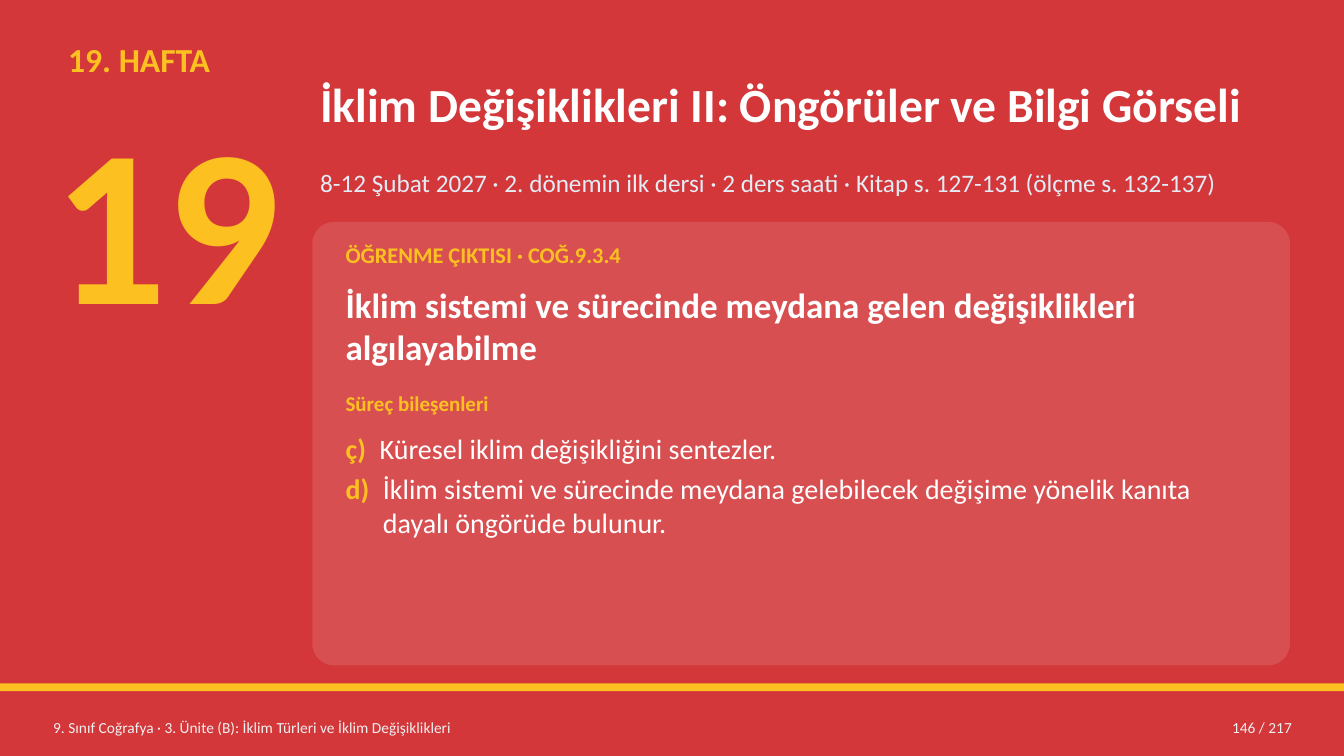
import dataclasses

import pptx
import pptx.dml.color
import pptx.enum.shapes
import pptx.enum.text
import pptx.oxml.ns
import pptx.shapes.autoshape
import pptx.slide
import pptx.text.text
import pptx.util
from lxml import etree

Cm = pptx.util.Cm
ALIGN = pptx.enum.text.PP_ALIGN
ANCHOR = pptx.enum.text.MSO_ANCHOR
SHAPE = pptx.enum.shapes.MSO_SHAPE

FONT = "Calibri"
RED = "D3373A"
YELLOW = "FCC021"
WHITE = "FFFFFF"
PALE_BLUE = "E3ECF5"
PALE_GREY = "F0F0F0"

WIDTH, HEIGHT = 33.87, 19.05
MAIN_LEFT, MAIN_WIDTH = 7.87, 24.64
CARD_LEFT, CARD_WIDTH = 8.51, 23.37
FOOTER_TOP, FOOTER_HEIGHT = 17.88, 0.91


@dataclasses.dataclass(frozen=True)
class Area:
    left: float
    top: float
    width: float
    height: float

    def lengths(self) -> tuple[pptx.util.Length, ...]:
        return Cm(self.left), Cm(self.top), Cm(self.width), Cm(self.height)


@dataclasses.dataclass(frozen=True)
class Panel:
    area: Area
    fill: str
    kind: SHAPE = SHAPE.RECTANGLE
    corner: float | None = None
    opacity: int | None = None


@dataclasses.dataclass(frozen=True)
class Label:
    area: Area
    text: str
    size: int
    color: str
    bold: bool = False
    anchor: ANCHOR = ANCHOR.TOP
    align: ALIGN = ALIGN.LEFT
    inset: float = 0.1


@dataclasses.dataclass(frozen=True)
class Component:
    letter: str
    text: str
    indent: float
    space_after: int = 0


PANELS = [
    Panel(Area(0, 0, WIDTH, HEIGHT), RED),
    Panel(Area(0, 17.22, WIDTH, 0.2), YELLOW),
    Panel(Area(MAIN_LEFT, 5.59, MAIN_WIDTH, 11.18), WHITE,
          SHAPE.ROUNDED_RECTANGLE, corner=0.05, opacity=12),
]

LABELS = [
    Label(Area(1.52, 0.89, 6.6, 1.4), "19. HAFTA", 24, YELLOW, bold=True),
    Label(Area(1.14, 2.03, 6.6, 6.99), "19", 160, YELLOW, bold=True, inset=0),
    Label(Area(MAIN_LEFT, 1.14, MAIN_WIDTH, 2.92),
          "İklim Değişiklikleri II: Öngörüler ve Bilgi Görseli",
          34, WHITE, bold=True, anchor=ANCHOR.MIDDLE),
    Label(Area(MAIN_LEFT, 4.11, MAIN_WIDTH, 1.14),
          "8-12 Şubat 2027 · 2. dönemin ilk dersi · 2 ders saati · "
          "Kitap s. 127-131 (ölçme s. 132-137)", 18, PALE_BLUE),
    Label(Area(CARD_LEFT, 5.97, CARD_WIDTH, 1.02),
          "ÖĞRENME ÇIKTISI · COĞ.9.3.4", 16, YELLOW, bold=True),
    Label(Area(CARD_LEFT, 7.04, CARD_WIDTH, 2.41),
          "İklim sistemi ve sürecinde meydana gelen değişiklikleri algılayabilme",
          25, WHITE, bold=True),
    Label(Area(CARD_LEFT, 9.75, CARD_WIDTH, 0.97),
          "Süreç bileşenleri", 15, YELLOW, bold=True),
    Label(Area(1.14, FOOTER_TOP, 19.3, FOOTER_HEIGHT),
          "9. Sınıf Coğrafya · 3. Ünite (B): İklim Türleri ve İklim Değişiklikleri",
          11, PALE_GREY, anchor=ANCHOR.MIDDLE),
    Label(Area(28.7, FOOTER_TOP, 4.06, FOOTER_HEIGHT), "146 / 217",
          11, PALE_GREY, anchor=ANCHOR.MIDDLE, align=ALIGN.RIGHT),
]

COMPONENTS_AREA = Area(CARD_LEFT, 10.77, CARD_WIDTH, 5.66)
COMPONENTS = [
    Component("ç)", "Küresel iklim değişikliğini sentezler.", 0.86, space_after=5),
    Component("d)", "İklim sistemi ve sürecinde meydana gelebilecek değişime "
              "yönelik kanıta dayalı öngörüde bulunur.", 0.94),
]


def rgb(color: str) -> pptx.dml.color.RGBColor:
    return pptx.dml.color.RGBColor.from_string(color)


def add_span(para: pptx.text.text._Paragraph, text: str, *, size: int,
             color: str, bold: bool = False) -> None:
    span = para.add_run()
    span.text = text
    span.font.name = FONT
    span.font.size = pptx.util.Pt(size)
    span.font.bold = bold
    span.font.color.rgb = rgb(color)


def add_box(page: pptx.slide.Slide, area: Area, *, inset: float = 0.1,
            anchor: ANCHOR = ANCHOR.TOP) -> pptx.text.text.TextFrame:
    frame = page.shapes.add_textbox(*area.lengths()).text_frame
    frame.word_wrap = True
    frame.vertical_anchor = anchor
    frame.margin_left = frame.margin_right = Cm(0.2)
    frame.margin_top = frame.margin_bottom = Cm(inset)
    return frame


def set_opacity(shape: pptx.shapes.autoshape.Shape, percent: int) -> None:
    qn = pptx.oxml.ns.qn
    color = shape.fill._xPr.find(qn("a:solidFill")).find(qn("a:srgbClr"))
    etree.SubElement(color, qn("a:alpha")).set("val", str(percent * 1000))


def draw_panel(page: pptx.slide.Slide, panel: Panel) -> None:
    shape = page.shapes.add_shape(panel.kind, *panel.area.lengths())
    shape.shadow.inherit = False
    shape.line.fill.background()
    shape.fill.solid()
    shape.fill.fore_color.rgb = rgb(panel.fill)
    if panel.corner is not None:
        shape.adjustments[0] = panel.corner
    if panel.opacity is not None:
        set_opacity(shape, panel.opacity)


def draw_label(page: pptx.slide.Slide, label: Label) -> None:
    frame = add_box(page, label.area, inset=label.inset, anchor=label.anchor)
    para = frame.paragraphs[0]
    para.alignment = label.align
    add_span(para, label.text, size=label.size, color=label.color, bold=label.bold)


def draw_components(page: pptx.slide.Slide, area: Area,
                    components: list[Component]) -> None:
    frame = add_box(page, area)
    for index, component in enumerate(components):
        para = frame.add_paragraph() if index else frame.paragraphs[0]
        para.space_after = pptx.util.Pt(component.space_after)
        indent = Cm(component.indent)
        properties = para._p.get_or_add_pPr()
        properties.set("marL", str(indent))
        properties.set("indent", str(-indent))
        add_span(para, component.letter + "\t", size=20, color=YELLOW, bold=True)
        add_span(para, component.text, size=20, color=WHITE)


def main() -> None:
    deck = pptx.Presentation()
    deck.slide_width, deck.slide_height = Cm(WIDTH), Cm(HEIGHT)
    page = deck.slides.add_slide(deck.slide_layouts[6])
    for panel in PANELS:
        draw_panel(page, panel)
    for label in LABELS:
        draw_label(page, label)
    draw_components(page, COMPONENTS_AREA, COMPONENTS)
    deck.save("out.pptx")


if __name__ == "__main__":
    main()
